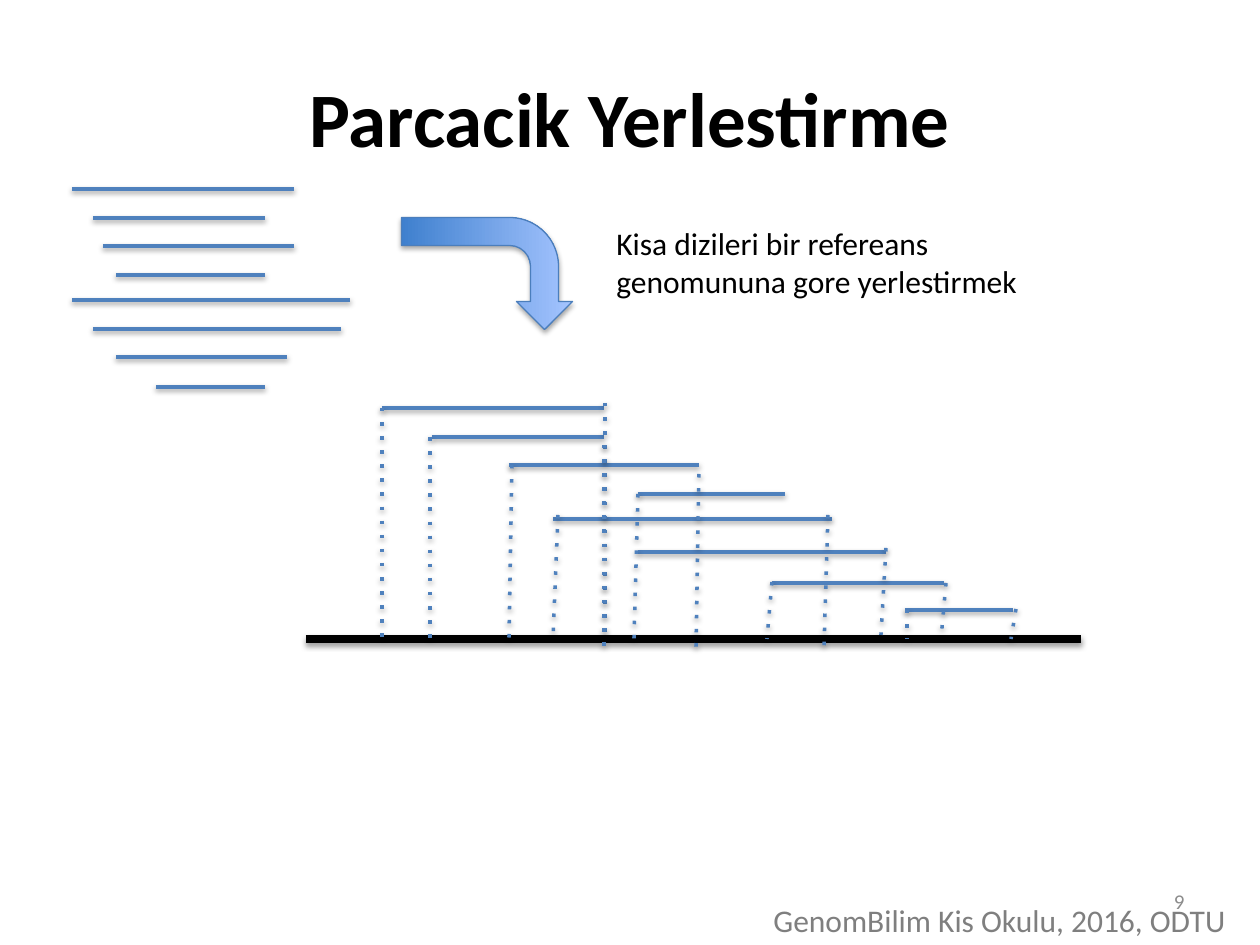
from lxml import etree
from pptx import Presentation
from pptx.dml.color import RGBColor
from pptx.enum.shapes import MSO_CONNECTOR, MSO_SHAPE
from pptx.enum.text import MSO_ANCHOR, PP_ALIGN
from pptx.oxml import parse_xml
from pptx.oxml.ns import nsdecls, qn
from pptx.util import Pt

PX = 914400 / 126
STRAIGHT, BENT_ARROW = MSO_CONNECTOR.STRAIGHT, MSO_SHAPE.BENT_ARROW
TOP, MIDDLE = MSO_ANCHOR.TOP, MSO_ANCHOR.MIDDLE
LEFT, CENTER, RIGHT = PP_ALIGN.LEFT, PP_ALIGN.CENTER, PP_ALIGN.RIGHT

BLACK = RGBColor(0x00, 0x00, 0x00)
READ_BLUE = RGBColor(0x4F, 0x81, 0xBD)
ARROW_EDGE = RGBColor(0x4B, 0x7E, 0xBC)
ARROW_DARK = RGBColor(0x3F, 0x80, 0xCE)
ARROW_LIGHT = RGBColor(0xA4, 0xC4, 0xFF)
NUMBER_GREY = RGBColor(0x8C, 0x8C, 0x8C)
FOOTER_GREY = RGBColor(0x7F, 0x7F, 0x7F)

# Each read: y, left, right
SHORT_READS = [
    (189, 72, 294), (218, 93, 265), (246, 103, 294), (275, 116, 265),
    (300, 72, 350), (329, 93, 341), (357, 116, 287), (387, 156, 265),
]
ALIGNED_READS = [
    (408, 382, 604), (437, 432, 604), (465, 509, 699), (494, 638, 785),
    (519, 553, 832), (552, 638, 886), (583, 772, 944), (610, 905, 1013),
]
# Each projection: top x, top y, bottom x, bottom y
PROJECTIONS = [
    (382, 408, 382, 639), (605, 403, 605, 635),
    (430, 437, 430, 639), (604, 445, 604, 648),
    (512, 465, 509, 639), (699, 474, 696, 648),
    (638, 494, 634, 639), (828, 515, 824, 648),
    (558, 515, 553, 639), (886, 548, 881, 635),
    (772, 582, 767, 639), (946, 583, 941, 639),
    (907, 610, 907, 639), (1016, 609, 1011, 639),
]


def px(*lengths):
    """Turn pixel lengths into EMU."""
    return [round(length * PX) for length in lengths]


def add_shadow(shape, opacity, distance):
    """Give a shape a soft shadow straight below it."""
    shape._element.spPr.append(parse_xml(
        f'<a:effectLst {nsdecls("a")}>'
        f'<a:outerShdw blurRad="{Pt(3.1)}" dist="{Pt(distance)}" dir="5400000" rotWithShape="0">'
        f'<a:srgbClr val="000000"><a:alpha val="{opacity * 1000}"/></a:srgbClr>'
        '</a:outerShdw></a:effectLst>'))


def add_line(slide, x1, y1, x2, y2, color=READ_BLUE, width=2, dotted=False):
    """Draw a straight shadowed line, solid or dotted."""
    segment = slide.shapes.add_connector(STRAIGHT, *px(x1, y1, x2, y2))
    segment.line.color.rgb = color
    segment.line.width = Pt(width)
    if dotted:
        etree.SubElement(segment.get_or_add_ln(), qn("a:prstDash"), val="dot")
    add_shadow(segment, 38, 1.6)


def add_reads(slide, reads):
    """Draw a stack of horizontal reads."""
    for y, left, right in reads:
        add_line(slide, left, y, right, y)


def add_bent_arrow(slide, *box):
    """Draw the gradient arrow that turns down towards the genome."""
    arrow = slide.shapes.add_shape(BENT_ARROW, *px(*box))
    arrow.rotation = 90
    arrow.fill.gradient()
    arrow.fill.gradient_angle = 90
    for stop, color in zip(arrow.fill.gradient_stops, (ARROW_DARK, ARROW_LIGHT)):
        stop.color.rgb = color
    arrow.line.color.rgb = ARROW_EDGE
    arrow.line.width = Pt(0.75)
    add_shadow(arrow, 35, 1.8)


def add_text(slide, text, box, size, color, align=LEFT, anchor=TOP, bold=False):
    """Place one wrapped paragraph in a text box."""
    frame = slide.shapes.add_textbox(*px(*box)).text_frame
    frame.word_wrap = True
    frame.vertical_anchor = anchor
    paragraph = frame.paragraphs[0]
    paragraph.alignment = align
    run = paragraph.add_run()
    run.text = text
    run.font.color.rgb = color
    font_values = {"name": "Calibri", "size": Pt(size), "bold": bold}
    for attribute, value in font_values.items():
        setattr(run.font, attribute, value)


def main():
    """Build the read alignment slide."""
    deck = Presentation()
    deck.slide_width, deck.slide_height = px(1260, 945)
    slide = deck.slides.add_slide(deck.slide_layouts[6])

    add_reads(slide, SHORT_READS)
    add_line(slide, 306, 639, 1081, 639, BLACK, 4.5)
    add_reads(slide, ALIGNED_READS)
    for projection in PROJECTIONS:
        add_line(slide, *projection, dotted=True)
    add_bent_arrow(slide, 431, 188, 112, 171)

    add_text(slide, "9", (903, 876, 294, 50), 12, NUMBER_GREY, RIGHT, MIDDLE)
    add_text(slide, "Kisa dizileri bir refereans genomununa gore yerlestirmek",
             (604, 218, 456, 89), 18, BLACK)
    add_text(slide, "Parcacik Yerlestirme", (63, 38, 1134, 158), 44, BLACK,
             CENTER, MIDDLE, True)
    add_text(slide, "GenomBilim Kis Okulu, 2016, ODTU", (761, 895, 499, 50), 18, FOOTER_GREY)
    deck.save("out.pptx")


if __name__ == "__main__":
    main()
